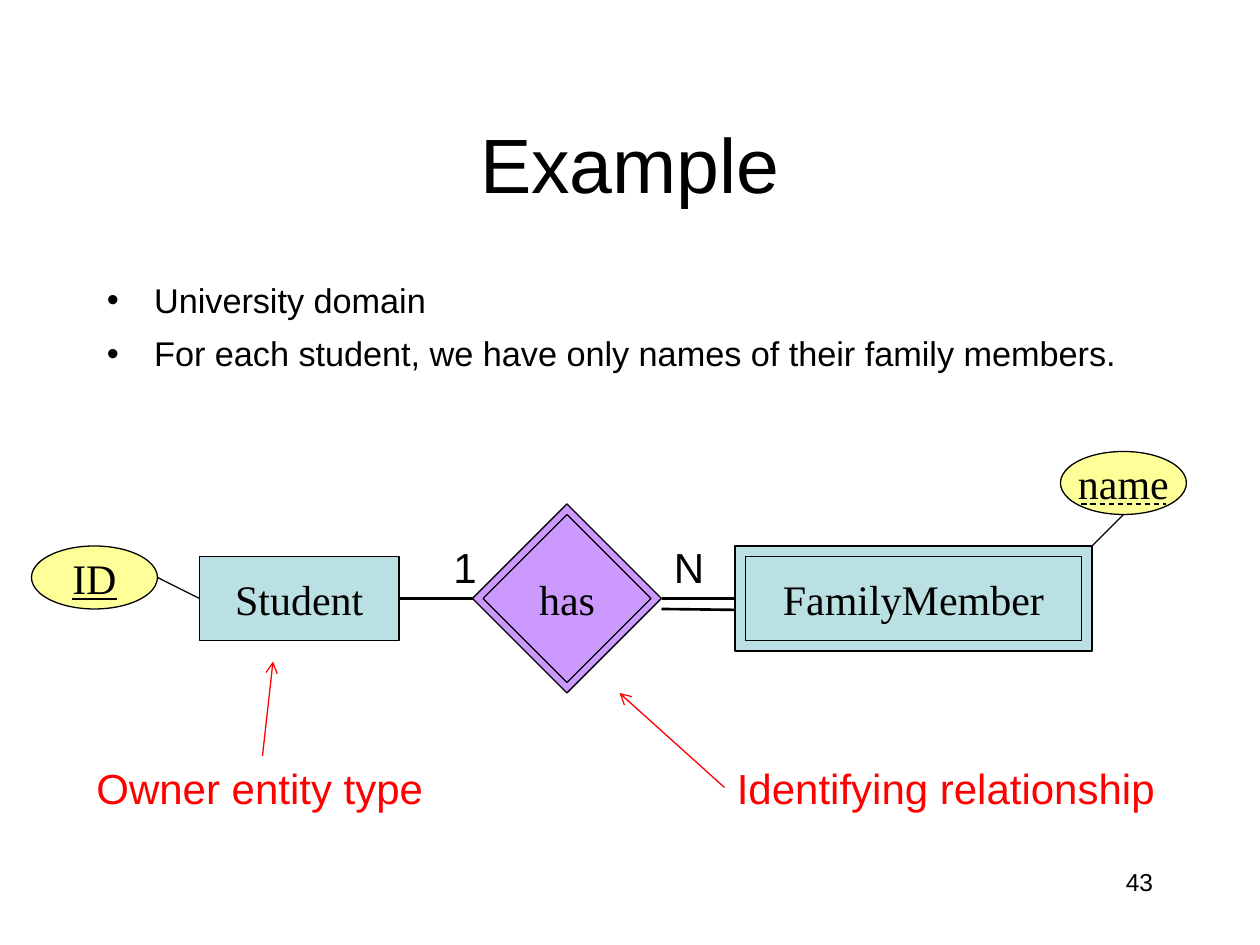
from lxml import etree
from pptx import Presentation, util as u
from pptx.dml.color import RGBColor
from pptx.enum import dml, shapes, text
from pptx.oxml.ns import qn

Pt = u.Pt

# Content: boxes are (left, top, width, height) in points
THEME = {
    "sans": "Arial", "serif": "Times New Roman",
    "ink": "000000", "note": "FF0000",
    "entity": "BBE0E3", "relationship": "CC99FF", "attribute": "FFFF99",
    "title": 44, "body": 19.6, "label": 24, "number": 14,
    "thin": 0.75, "thick": 1.5,
}
TITLE = ("Example", (54, 48, 612, 90))
BULLETS = (
    ["University domain",
     "For each student, we have only names of their family members."],
    (54, 156, 612, 72),
)
GAP = 6  # between the two outlines of a weak entity or its relationship

# label, preset, role, outer box, doubled, underlined
NODES = [
    ("FamilyMember", "RECTANGLE", "entity", (420, 312, 204, 60), True, False),
    ("has", "DIAMOND", "relationship", (270, 288, 108, 108), True, False),
    ("Student", "RECTANGLE", "entity", (114, 318, 114, 48), False, False),
    ("name", "OVAL", "attribute", (606, 258, 72, 36), False, False),
    ("ID", "OVAL", "attribute", (18, 312, 72, 36), False, True),
]
# start, end, colour, width, style
LINES = [
    ((228, 342), (270, 342), "ink", "thick", None),
    ((378, 342), (420, 342), "ink", "thick", None),
    ((378, 348), (420, 348.5), "ink", "thick", None),
    ((642, 294), (624, 312), "ink", "thin", None),
    ((114, 342), (90, 330), "ink", "thin", None),
    ((618, 288), (666, 288), "ink", "thin", "dash"),
    ((414, 450), (354, 396), "note", "thin", "arrow"),
    ((150, 432), (156, 378), "note", "thin", "arrow"),
]
# wording, box, colour, size, alignment
LABELS = [
    ("1", (252, 306, 24, 36), "ink", "label", "LEFT"),
    ("N", (378, 306, 24, 36), "ink", "label", "LEFT"),
    ("Identifying relationship", (414, 432, 294, 36), "note", "label", "LEFT"),
    ("Owner entity type", (48, 432, 204, 36), "note", "label", "LEFT"),
    ("43", (516, 492, 150, 36), "ink", "number", "RIGHT"),
]


def colour(name):
    return RGBColor.from_string(THEME[name])


def points(values):
    return [Pt(value) for value in values]


def apply(target, values):
    for name, value in values.items():
        setattr(target, name, value)


def write(para, wording, size, face="sans", ink="ink", align="LEFT", underline=False):
    para.alignment = getattr(text.PP_ALIGN, align)
    span = para.add_run()
    span.text = wording
    apply(span.font, {"name": THEME[face], "size": Pt(THEME[size]), "underline": underline})
    span.font.color.rgb = colour(ink)


def add_text(page, box):
    frame = page.shapes.add_textbox(*points(box)).text_frame
    frame.word_wrap = True
    return frame


def add_bullet(para):
    props = para._p.get_or_add_pPr()
    props.set("marL", str(Pt(27)))
    props.set("indent", str(-Pt(27)))
    fill = etree.SubElement(props, qn("a:buClr"))
    etree.SubElement(fill, qn("a:srgbClr"), val=THEME["ink"])
    etree.SubElement(props, qn("a:buFont"), typeface=THEME["sans"])
    etree.SubElement(props, qn("a:buChar"), char="•")


def add_outline(page, preset, role, box):
    shape = page.shapes.add_shape(getattr(shapes.MSO_SHAPE, preset), *points(box))
    shape.shadow.inherit = False
    shape.fill.solid()
    shape.fill.fore_color.rgb = colour(role)
    shape.line.color.rgb = colour("ink")
    shape.line.width = Pt(THEME["thin"])
    return shape


def add_node(page, label, preset, role, box, doubled, underlined):
    shape = add_outline(page, preset, role, box)
    if doubled:
        left, top, width, height = box
        inner = (left + GAP, top + GAP, width - 2 * GAP, height - 2 * GAP)
        shape = add_outline(page, preset, role, inner)
    frame = shape.text_frame
    apply(frame, {"word_wrap": False, "vertical_anchor": text.MSO_ANCHOR.MIDDLE})
    write(frame.paragraphs[0], label, "label", "serif", align="CENTER", underline=underlined)


def add_line(page, start, end, ink, width, style):
    line = page.shapes.add_connector(shapes.MSO_CONNECTOR.STRAIGHT, *points(start + end))
    line.line.color.rgb = colour(ink)
    line.line.width = Pt(THEME[width])
    if style == "dash":
        line.line.dash_style = dml.MSO_LINE.DASH
    elif style == "arrow":
        etree.SubElement(line.line._get_or_add_ln(), qn("a:tailEnd"), type="arrow")
    etree.SubElement(line._element.spPr, qn("a:effectLst"))


def main():
    deck = Presentation()
    apply(deck, {"slide_width": Pt(720), "slide_height": Pt(540)})
    page = deck.slides.add_slide(deck.slide_layouts[5])

    # Title
    wording, box = TITLE
    title = page.shapes.title
    apply(title, dict(zip(("left", "top", "width", "height"), points(box))))
    apply(title.text_frame, {"word_wrap": True, "auto_size": text.MSO_AUTO_SIZE.NONE,
                             "vertical_anchor": text.MSO_ANCHOR.MIDDLE})
    write(title.text_frame.paragraphs[0], wording, "title", align="CENTER")

    # Bullets
    items, box = BULLETS
    frame = add_text(page, box)
    for index, item in enumerate(items):
        para = frame.add_paragraph() if index else frame.paragraphs[0]
        add_bullet(para)
        para.space_before = Pt(7 if index else 0)
        write(para, item, "body")

    # Diagram
    for node in NODES:
        add_node(page, *node)
    for line in LINES:
        add_line(page, *line)

    # Cardinalities, notes and page number
    for wording, box, ink, size, align in LABELS:
        write(add_text(page, box).paragraphs[0], wording, size, ink=ink, align=align)

    deck.save("out.pptx")


if __name__ == "__main__":
    main()
